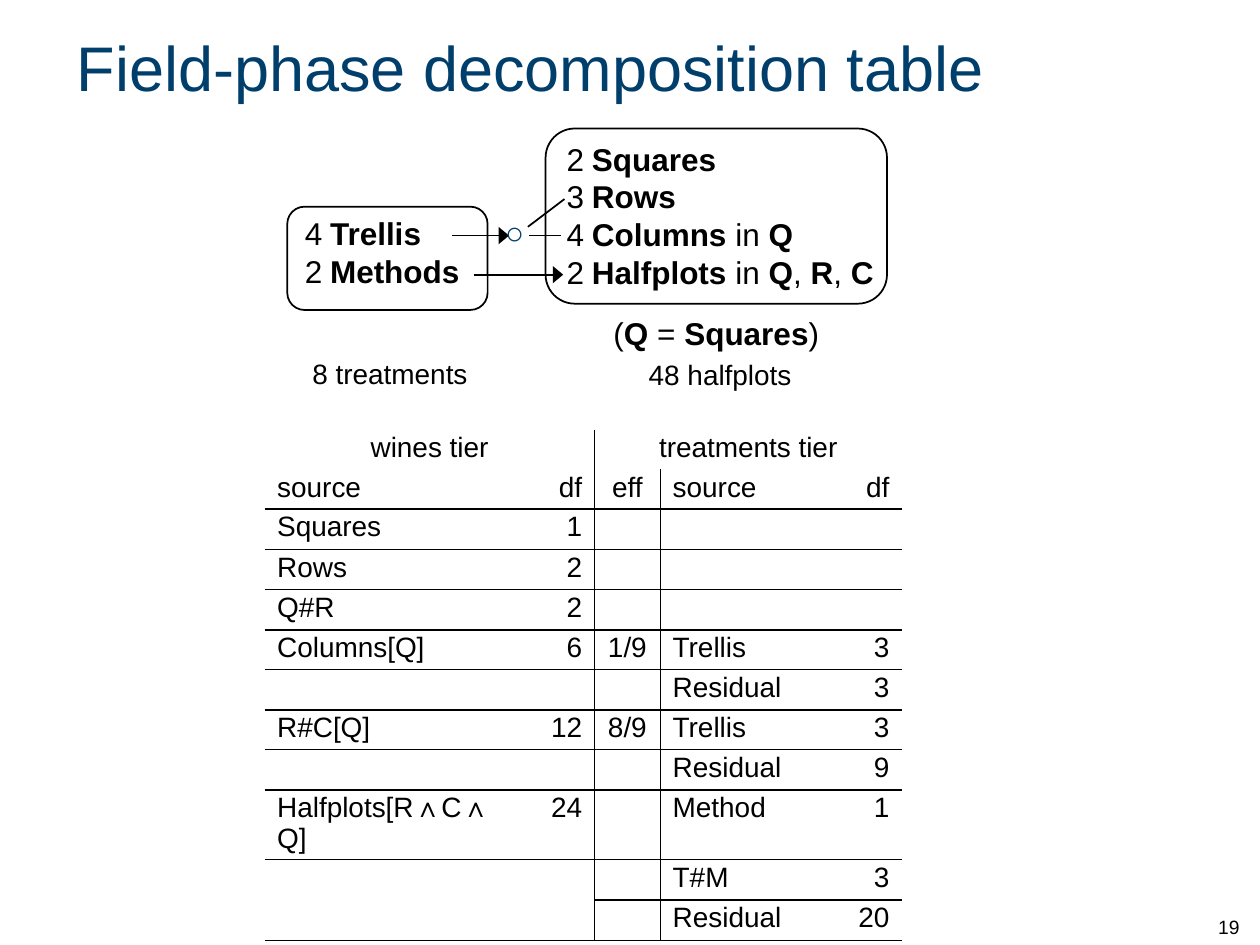
import pptx
import pptx.dml.color
import pptx.enum.shapes
import pptx.enum.text
import pptx.oxml.ns
import pptx.util
from lxml import etree

Inches = pptx.util.Inches
Pt = pptx.util.Pt
ALIGN = {
    "l": pptx.enum.text.PP_ALIGN.LEFT,
    "c": pptx.enum.text.PP_ALIGN.CENTER,
    "r": pptx.enum.text.PP_ALIGN.RIGHT,
}
ANCHOR = pptx.enum.text.MSO_ANCHOR
BLACK = "000000"
NAVY = "003E6C"


def colour(value):
    return pptx.dml.color.RGBColor.from_string(value)


def add_element(parent, tag, **attributes):
    return etree.SubElement(parent, pptx.oxml.ns.qn(tag), attributes)


def write(para, text, size=16, ink=BLACK, align="l", hanging=False):
    """Text between asterisks is bold."""
    if hanging:
        properties = para._p.get_or_add_pPr()
        properties.set("marL", str(Inches(0.29)))
        properties.set("indent", str(Inches(-0.2)))
    para.alignment = ALIGN[align]
    for index, piece in enumerate(text.split("*")):
        if piece:
            span = para.add_run()
            span.text = piece
            span.font.name = "Arial"
            span.font.size = Pt(size)
            span.font.bold = index % 2 == 1
            span.font.color.rgb = colour(ink)


def draw_edge(properties, tag, visible):
    edge = add_element(properties, tag, w=str(Pt(0.75)))
    if visible:
        fill = add_element(edge, "a:solidFill")
        add_element(fill, "a:srgbClr", val=BLACK)
    else:
        add_element(edge, "a:noFill")


class Slide:
    def __init__(self, deck):
        self.page = deck.slides.add_slide(deck.slide_layouts[6])
        self.shapes = self.page.shapes

    def text(self, place, text, anchor=ANCHOR.TOP, wrap=True, **style):
        box = self.shapes.add_textbox(*map(Inches, place))
        box.text_frame.word_wrap = wrap
        box.text_frame.vertical_anchor = anchor
        write(box.text_frame.paragraphs[0], text, **style)

    def panel(self, place, lines):
        kind = pptx.enum.shapes.MSO_SHAPE.ROUNDED_RECTANGLE
        box = self.shapes.add_shape(kind, *map(Inches, place))
        box.shadow.inherit = False
        box.fill.background()
        box.line.color.rgb = colour(BLACK)
        box.line.width = Pt(1)
        frame = box.text_frame
        frame.word_wrap = True
        frame.vertical_anchor = ANCHOR.TOP
        frame.margin_left = Inches(0.01)
        frame.margin_right = 0
        frame.margin_top = frame.margin_bottom = Inches(0.02)
        for index, line in enumerate(lines):
            para = frame.add_paragraph() if index else frame.paragraphs[0]
            write(para, line, size=18, hanging=True)

    def line(self, start, end, arrow=False):
        kind = pptx.enum.shapes.MSO_CONNECTOR.STRAIGHT
        connector = self.shapes.add_connector(kind, *map(Inches, start + end))
        connector.line.color.rgb = colour(BLACK)
        connector.line.width = Pt(1)
        if arrow:
            add_element(connector.line._get_or_add_ln(), "a:tailEnd",
                        type="triangle", w="lg", len="med")
        add_element(connector._element.spPr, "a:effectLst")

    def table(self, place, widths, rows, aligns, rule_below, rule_right):
        frame = self.shapes.add_table(len(rows), len(widths), *map(Inches, place))
        table = frame.table
        table.first_row = table.horz_banding = False
        for column, width in zip(table.columns, widths):
            column.width = Inches(width)
        for r, row in enumerate(rows):
            table.rows[r].height = Inches(place[3] / len(rows))
            for c, text in enumerate(row):
                cell = table.cell(r, c)
                cell.margin_left = cell.margin_right = Inches(0.1)
                cell.margin_top = Inches(0.02)
                cell.margin_bottom = 0
                properties = cell._tc.get_or_add_tcPr()
                draw_edge(properties, "a:lnL", rule_right(r, c - 1))
                draw_edge(properties, "a:lnR", rule_right(r, c))
                draw_edge(properties, "a:lnT", rule_below(r - 1, c))
                draw_edge(properties, "a:lnB", rule_below(r, c))
                cell.fill.background()
                align = "c" if r == 0 else aligns[c]
                write(cell.text_frame.paragraphs[0], text, align=align)
        return table


def rule_below(row, column):
    return row >= 1 and not (row == 10 and column < 2)


def rule_right(row, column):
    return column == 1 or (column == 2 and row >= 1)


ROWS = [
    ("wines tier", "", "treatments tier", "", ""),
    ("source", "df", "eff", "source", "df"),
    ("Squares", "1", "", "", ""),
    ("Rows", "2", "", "", ""),
    ("Q#R", "2", "", "", ""),
    ("Columns[Q]", "6", "1/9", "Trellis", "3"),
    ("", "", "", "Residual", "3"),
    ("R#C[Q]", "12", "8/9", "Trellis", "3"),
    ("", "", "", "Residual", "9"),
    ("Halfplots[R∧C∧Q]", "24", "", "Method", "1"),
    ("", "", "", "T#M", "3"),
    ("", "", "", "Residual", "20"),
]


def main():
    deck = pptx.Presentation()
    deck.slide_width = Inches(10)
    deck.slide_height = Inches(7.5)
    slide = Slide(deck)

    slide.text((0.51, 0.08, 9.25, 0.9), "Field-phase decomposition table",
               anchor=ANCHOR.MIDDLE, size=36, ink=NAVY)
    slide.text((9.57, 7, 0.42, 0.5), "19", anchor=ANCHOR.BOTTOM, size=11)

    table = slide.table((2.1, 3.41, 5.06, 3.78), (2.05, 0.57, 0.52, 1.38, 0.54),
                        ROWS, "lrclr", rule_below, rule_right)
    table.cell(0, 0).merge(table.cell(0, 1))
    table.cell(0, 2).merge(table.cell(0, 4))

    slide.line((3.76, 2.18), (4.47, 2.18), arrow=True)
    slide.text((2.27, 2.78, 1.65, 0.37), "8 treatments", align="c")
    slide.panel((2.28, 1.64, 1.59, 0.82), ["4\t*Trellis*", "2\t*Methods*"])

    slide.line((3.59, 1.87), (4.04, 1.87), arrow=True)
    slide.text((3.91, 1.64, 0.42, 0.4), "○", wrap=False, size=18, ink=NAVY)
    slide.line((4.19, 1.8), (4.48, 1.58))
    slide.line((4.2, 1.87), (4.45, 1.87))

    slide.text((4.89, 2.79, 1.65, 0.37), "48 halfplots", align="c")
    slide.panel((4.33, 1.02, 2.71, 1.39), [
        "2\t*Squares*",
        "3\t*Rows*",
        "4\t*Columns* in *Q*",
        "2\t*Halfplots* in *Q*, *R*, *C*",
    ])
    slide.text((4.7, 2.44, 1.97, 0.4), "(*Q* = *Squares*)", size=18, align="c")

    deck.save("out.pptx")


if __name__ == "__main__":
    main()
